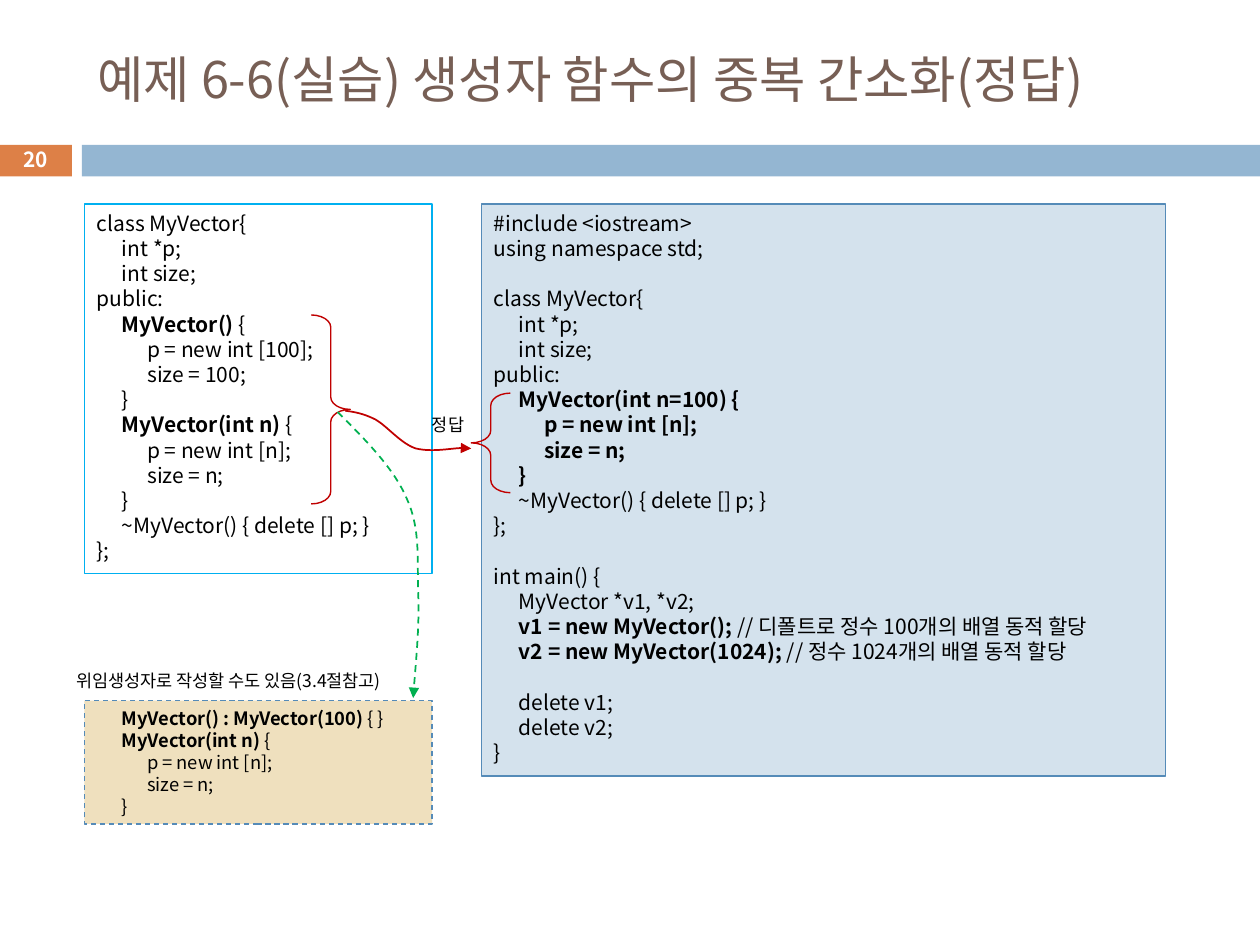
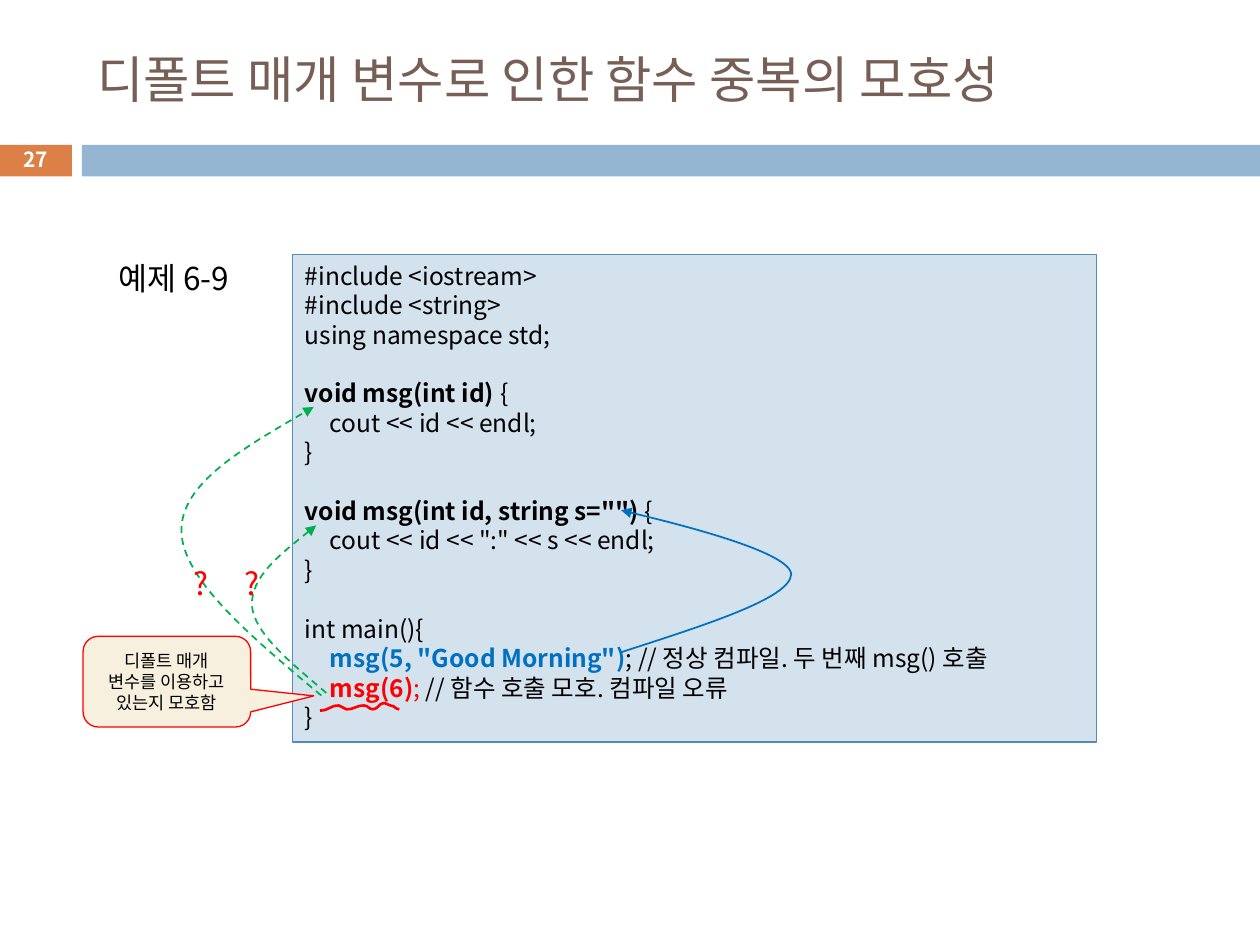
import typing

import lxml.etree
import pptx
import pptx.dml.color
import pptx.enum.dml
import pptx.enum.shapes
import pptx.enum.text
import pptx.oxml.ns
import pptx.util

FONT = "Noto Sans CJK KR"
LINE_PITCH = 1.2
COLUMNS, ROWS = 100, 75
CELL = pptx.util.Inches(0.1)
COLORS = {
    "title": "775F55", "number": "DD8047", "band": "94B6D2", "white": "FFFFFF",
    "text": "000000", "code": "D4E2ED", "code_edge": "558BB8", "before_edge": "00B0F0",
    "delegate": "EFE0BE", "callout": "F7F0DE", "brace": "C00000",
    "green": "00B050", "blue": "0070C0", "red": "FF0000",
}
SHAPE = pptx.enum.shapes.MSO_SHAPE
ALIGN = pptx.enum.text.PP_ALIGN
ANCHOR = pptx.enum.text.MSO_ANCHOR
AUTO_SIZE = pptx.enum.text.MSO_AUTO_SIZE
qn = pptx.oxml.ns.qn


class Box(typing.NamedTuple):
    left: float
    top: float
    width: float
    height: float

    def inner(self, left, top, width, height):
        return Box(self.left + left, self.top + top, width, height)

    def emu(self):
        return [round(length * CELL) for length in self]


class Part(typing.NamedTuple):
    text: str
    color: str = "text"
    bold: bool = True


def rgb(name):
    return pptx.dml.color.RGBColor.from_string(COLORS[name])


def style_paragraph(paragraph, size, color, align=ALIGN.LEFT, bold=False):
    paragraph.alignment = align
    paragraph.line_spacing = pptx.util.Pt(size * LINE_PITCH)
    font = paragraph.font
    font.name, font.size, font.bold = FONT, pptx.util.Pt(size), bold
    font.color.rgb = rgb(color)
    defaults = paragraph._p.pPr.find(qn("a:defRPr"))
    lxml.etree.SubElement(defaults, qn("a:ea")).set("typeface", FONT)


def set_tab_stops(paragraph):
    stops = lxml.etree.SubElement(paragraph._p.get_or_add_pPr(), qn("a:tabLst"))
    for step in range(1, 4):
        stop = lxml.etree.SubElement(stops, qn("a:tab"))
        stop.set("pos", str(2 * step * CELL))
        stop.set("algn", "l")


def write_code(frame, lines, size):
    frame.word_wrap = True
    frame.vertical_anchor = ANCHOR.TOP
    paragraph, gap = frame.paragraphs[0], 0
    for index, line in enumerate(lines):
        if not line:
            gap += size * LINE_PITCH
            continue
        if index:
            paragraph = frame.add_paragraph()
        set_tab_stops(paragraph)
        if gap:
            paragraph.space_before = pptx.util.Pt(gap)
            gap = 0
        style_paragraph(paragraph, size, "text")
        for part in [line] if isinstance(line, str) else line:
            run = paragraph.add_run()
            if isinstance(part, Part):
                run.text = part.text
                run.font.bold = part.bold
                run.font.color.rgb = rgb(part.color)
            else:
                run.text = part


def set_line(shape, color, width, dashed=False, arrow=False):
    shape.line.color.rgb = rgb(color)
    shape.line.width = pptx.util.Pt(width)
    if dashed:
        shape.line.dash_style = pptx.enum.dml.MSO_LINE.DASH
    if arrow:
        outline = shape._element.spPr.find(qn("a:ln"))
        lxml.etree.SubElement(outline, qn("a:tailEnd")).set("type", "triangle")


def add_shape(slide, kind, box, fill=None, edge=None, width=0.75, dashed=False):
    shape = slide.shapes.add_shape(kind, *box.emu())
    shape.shadow.inherit = False
    if fill:
        shape.fill.solid()
        shape.fill.fore_color.rgb = rgb(fill)
    else:
        shape.fill.background()
    if edge:
        set_line(shape, edge, width, dashed)
    else:
        shape.line.fill.background()
    return shape


def add_code(slide, box, lines, size, fill="code", edge="code_edge", dashed=False):
    panel = add_shape(slide, SHAPE.RECTANGLE, box, fill, edge, dashed=dashed)
    write_code(panel.text_frame, lines, size)


def add_brace(slide, kind, box):
    brace = add_shape(slide, kind, box, edge="brace", width=0.79)
    brace.adjustments[0] = 0.318


def add_label(slide, box, text, size, color="text"):
    frame = slide.shapes.add_textbox(*box.emu()).text_frame
    frame.word_wrap = False
    frame.auto_size = AUTO_SIZE.SHAPE_TO_FIT_TEXT
    frame.text = text
    style_paragraph(frame.paragraphs[0], size, color)
    return frame


def add_curve(slide, box, points, color, width=1, dashed=False, arrow=True):
    spots = [(round((box.left + x) * CELL), round((box.top + y) * CELL)) for x, y in points]
    builder = slide.shapes.build_freeform(*spots[0])
    builder.add_line_segments(spots[1:], close=False)
    curve = builder.convert_to_shape()
    curve.shadow.inherit = False
    curve.fill.background()
    set_line(curve, color, width, dashed, arrow)
    segments = list(curve._element.iter(qn("a:lnTo")))
    for first, second, third in zip(segments[::3], segments[1::3], segments[2::3]):
        first.tag = qn("a:cubicBezTo")
        for segment in (second, third):
            first.append(segment[0])
            segment.getparent().remove(segment)


def add_wave(slide, box, crests, color, width):
    points = [crests[0]]
    for (x0, y0), (x1, y1) in zip(crests, crests[1:]):
        middle = (x0 + x1) / 2
        points += [(middle, y0), (middle, y1), (x1, y1)]
    add_curve(slide, box, points, color, width, arrow=False)


def start_slide(deck, title, number):
    slide = deck.slides.add_slide(deck.slide_layouts[5])
    number_box = Box(-0.1, 11.5, 5.8, 2.5)
    add_shape(slide, SHAPE.RECTANGLE, number_box, "number")
    add_shape(slide, SHAPE.RECTANGLE, Box(6.5, 11.5, COLUMNS - 6.5, 2.5), "band")
    heading = slide.shapes.title
    heading.left, heading.top, heading.width, heading.height = Box(6.7, 2.5, 89.2, 7.4).emu()
    frame = heading.text_frame
    frame.text = title
    frame.auto_size = AUTO_SIZE.NONE
    frame.vertical_anchor = ANCHOR.MIDDLE
    style_paragraph(frame.paragraphs[0], 28.8, "title")
    page = slide.shapes.add_textbox(*number_box.inner(0, -0.2, 5.8, 2.7).emu()).text_frame
    page.word_wrap = True
    page.vertical_anchor = ANCHOR.MIDDLE
    page.text = str(number)
    style_paragraph(page.paragraphs[0], 11.9, "white", ALIGN.CENTER, bold=True)
    return slide


def overloaded_constructors(slide, box):
    add_code(slide, box, [
        "class MyVector{", "\tint *p;", "\tint size;", "public:",
        ("\t", Part("MyVector() "), "{"),
        "\t\tp = new int [100];", "\t\tsize = 100;", "\t}",
        ("\t", Part("MyVector(int n) "), "{"),
        "\t\tp = new int [n];", "\t\tsize = n;", "\t}",
        "\t~MyVector() { delete [] p; }", "};",
    ], 12, fill=None, edge="before_edge")
    add_brace(slide, SHAPE.RIGHT_BRACE, box.inner(18, 8.8, 3.1, 15))


def default_constructor(slide, box):
    add_code(slide, box, [
        "#include <iostream>", "using namespace std;", "",
        "class MyVector{", "\tint *p;", "\tint size;", "public:",
        ("\t", Part("MyVector(int n=100) {")),
        (Part("\t\tp = new int [n];"),), (Part("\t\tsize = n;"),), (Part("\t}"),),
        "\t~MyVector() { delete [] p; }", "};", "",
        "int main() {", "\tMyVector *v1, *v2;",
        ("\t", Part("v1 = new MyVector(); "), "// 디폴트로 정수 100개의 배열 동적 할당"),
        ("\t", Part("v2 = new MyVector(1024); "), "// 정수 1024개의 배열 동적 할당"),
        "", "\tdelete v1;", "\tdelete v2;", "}",
    ], 12)
    add_curve(slide, box, [
        (-10.8, 16.4), (-10.1, 16.5), (-9.4, 16.6), (-8.4, 17.1),
        (-7.5, 17.6), (-6.4, 19), (-5.2, 19.4),
        (-3.9, 19.7), (-1.3, 19.2), (-0.8, 19.4),
    ], "brace")
    add_brace(slide, SHAPE.LEFT_BRACE, box.inner(-0.8, 15, 3.1, 7.9))
    add_label(slide, box.inner(-4.9, 16.2, 4.8, 2.7), "정답", 10)


def delegating_constructor(slide, box):
    add_code(slide, box, [
        ("\t", Part("MyVector() : MyVector(100)"), " { }"),
        ("\t", Part("MyVector(int n) "), "{"),
        "\t\tp = new int [n];", "\t\tsize = n;", "\t}",
    ], 10.5, fill="delegate", dashed=True)
    add_curve(slide, box, [
        (20.1, -22.9), (22.3, -20.7), (24.6, -18.4), (25.6, -16),
        (26.7, -13.6), (26.4, -11.1), (26.5, -8.5),
        (26.6, -5.9), (26.3, -3), (26.1, -0.2),
    ], "green", dashed=True)
    add_label(slide, box.inner(-1.6, -2.9, 28.6, 2.7),
              "위임생성자로 작성할 수도 있음(3.4절참고)", 10)


def ambiguous_program(slide, box):
    add_code(slide, box, [
        "#include <iostream>", "#include <string>", "using namespace std;", "",
        (Part("void msg(int id) "), "{"), "\tcout << id << endl;", "}", "",
        (Part('void msg(int id, string s="") '), "{"),
        '\tcout << id << ":" << s << endl;', "}", "",
        "int main(){",
        ("\t", Part('msg(5, "Good Morning")', "blue"), "; // 정상 컴파일. 두 번째 msg() 호출"),
        ("\t", Part("msg(6)", "red"), Part("; ", "red", False), "// 함수 호출 모호. 컴파일 오류"),
        "}",
    ], 14)
    add_label(slide, box.inner(-14.8, -0.1, 12.7, 4), "예제 6-9", 18)
    add_curve(slide, box, [
        (26, 31.6), (32.8, 29.4), (39.5, 27.3), (39.6, 25.4),
        (39.6, 23.5), (26.1, 20.3), (26.1, 20.3),
    ], "blue")


def ambiguous_calls(slide, box):
    add_curve(slide, box, [
        (19.3, 4.5), (16.5, 2.1), (13.6, -0.2), (13.4, -2.4),
        (13.3, -4.7), (15.9, -6.7), (18.5, -8.8),
    ], "green", dashed=True)
    add_curve(slide, box, [
        (18.9, 4.7), (13.4, 0.1), (7.9, -4.5), (7.8, -8.3),
        (7.7, -12.1), (13, -15.1), (18.3, -18.2),
    ], "green", dashed=True)
    warning = add_shape(slide, SHAPE.ROUNDED_RECTANGULAR_CALLOUT, box, "callout", "red")
    for index, share in enumerate((0.877, 0.157, 0.167)):
        warning.adjustments[index] = share
    frame = warning.text_frame
    frame.word_wrap = True
    frame.vertical_anchor = ANCHOR.MIDDLE
    frame.text = "디폴트 매개 변수를 이용하고 있는지 모호함"
    style_paragraph(frame.paragraphs[0], 10, "text", ALIGN.CENTER)
    for left in (7.8, 11.8):
        add_label(slide, box.inner(left, -6.2, 3.2, 4), "?", 18, "red")
    add_wave(slide, box, [
        (18.8, 5.9), (20.3, 5.5), (20.9, 5.8), (22.3, 5.5),
        (23, 5.8), (23.9, 5.3), (24.4, 5.5), (25.1, 5.8),
    ], "red", 1.5)


def main():
    deck = pptx.Presentation()
    deck.slide_width, deck.slide_height = COLUMNS * CELL, ROWS * CELL

    constructors = start_slide(deck, "예제 6-6(실습) 생성자 함수의 중복 간소화(정답)", 20)
    overloaded_constructors(constructors, Box(6.7, 16.2, 27.6, 29.3))
    default_constructor(constructors, Box(38.2, 16.2, 54.3, 45.4))
    delegating_constructor(constructors, Box(6.7, 55.6, 27.6, 9.8))

    ambiguity = start_slide(deck, "디폴트 매개 변수로 인한 함수 중복의 모호성", 27)
    ambiguous_program(ambiguity, Box(23.2, 20.2, 63.8, 38.7))
    ambiguous_calls(ambiguity, Box(6.6, 50.5, 13.3, 7.2))

    deck.save("out.pptx")


if __name__ == "__main__":
    main()
